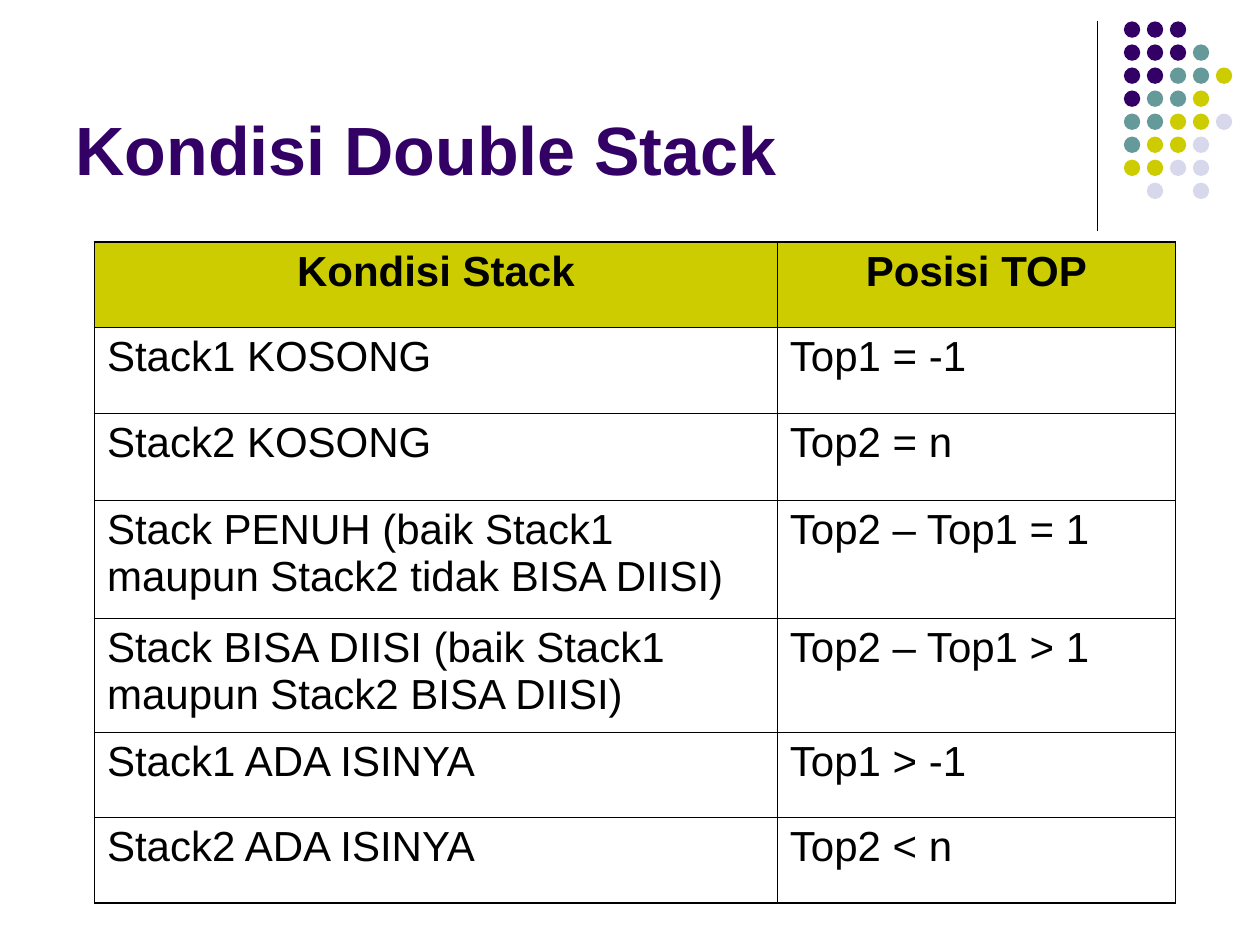
"""Build the "Kondisi Double Stack" slide with its condition table and dot ornament."""
import pptx
import pptx.dml.color
import pptx.enum.shapes
import pptx.enum.text
import pptx.oxml
import pptx.oxml.ns
import pptx.util

TITLE = "Kondisi Double Stack"
ROWS = [
    ("Kondisi Stack", "Posisi TOP"),
    ("Stack1 KOSONG", "Top1 = -1"),
    ("Stack2 KOSONG", "Top2 = n"),
    ("Stack PENUH (baik Stack1 maupun Stack2 tidak BISA DIISI)", "Top2 – Top1 = 1"),
    ("Stack BISA DIISI (baik Stack1 maupun Stack2 BISA DIISI)", "Top2 – Top1 > 1"),
    ("Stack1 ADA ISINYA", "Top1 > -1"),
    ("Stack2 ADA ISINYA", "Top2 < n"),
]
DOT_ROWS = ["PPP", "PPPT", "PPTTY", "PTTY", "TTYYL", "TYYL", "YYLL", " L L"]
THEME = {
    "font": "Arial", "title_size": 39, "table_size": 24,
    "title": "330066", "text": "000000", "header": "CCCC00",
    "outer": 1.08, "inner": 0.45, "rule": 0.75,
    "dots": {"P": "330066", "T": "669999", "Y": "CCCC00", "L": "D8D8EC"},
}
SLIDE_SIZE = (10, 7.5)
TITLE_BOX = (0.5, 0.13, 8.25, 1.42)
RULE = (8.71, 0.17, 8.71, 1.83)
DOT_ORIGIN, DOT_SIZE, DOT_PITCH = (8.92, 0.17), 0.13, (0.73 / 4, 1.28 / 7)
TABLE_ORIGIN = (0.75, 1.92)
COLUMN_WIDTHS = (5.42, 3.16)
ROW_HEIGHTS = (0.68, 0.68, 0.69, 0.94, 0.9, 0.68, 0.68)


def inches(values):
    return [pptx.util.Inches(value) for value in values]


def color(value):
    return pptx.dml.color.RGBColor.from_string(value)


def format_text(paragraph, size, ink, bold, alignment):
    paragraph.alignment = alignment
    settings = {"name": THEME["font"], "size": pptx.util.Pt(size), "bold": bold}
    for name, value in settings.items():
        setattr(paragraph.font, name, value)
    paragraph.font.color.rgb = color(ink)


def add_title(slide):
    title = slide.shapes.title
    for name, value in zip(("left", "top", "width", "height"), inches(TITLE_BOX)):
        setattr(title, name, value)
    frame = title.text_frame
    frame.text = TITLE
    frame.word_wrap = True
    frame.vertical_anchor = pptx.enum.text.MSO_ANCHOR.BOTTOM
    format_text(frame.paragraphs[0], THEME["title_size"], THEME["title"], True,
                pptx.enum.text.PP_ALIGN.LEFT)


def add_ornament(slide):
    rule = slide.shapes.add_connector(pptx.enum.shapes.MSO_CONNECTOR.STRAIGHT, *inches(RULE))
    rule.line.width = pptx.util.Pt(THEME["rule"])
    rule.line.color.rgb = color(THEME["text"])
    rule._element.spPr.append(pptx.oxml.parse_xml(
        f"<a:effectLst {pptx.oxml.ns.nsdecls('a')}/>"))
    group = slide.shapes.add_group_shape()
    for row, letters in enumerate(DOT_ROWS):
        for column, letter in enumerate(letters):
            if letter == " ":
                continue
            place = [start + step * pitch for start, step, pitch
                     in zip(DOT_ORIGIN, (column, row), DOT_PITCH)]
            dot = group.shapes.add_shape(pptx.enum.shapes.MSO_SHAPE.OVAL,
                                         *inches((*place, DOT_SIZE, DOT_SIZE)))
            dot.shadow.inherit = False
            dot.fill.solid()
            dot.fill.fore_color.rgb = color(THEME["dots"][letter])
            dot.line.fill.background()


def set_borders(cell, outer_sides):
    properties = cell._tc.get_or_add_tcPr()
    for index, (side, is_outer) in enumerate(outer_sides.items()):
        width = pptx.util.Pt(THEME["outer" if is_outer else "inner"])
        properties.insert(index, pptx.oxml.parse_xml(
            f'<a:ln{side} {pptx.oxml.ns.nsdecls("a")} w="{width}"><a:solidFill>'
            f'<a:srgbClr val="{THEME["text"]}"/></a:solidFill></a:ln{side}>'))


def add_condition_table(slide):
    size = (sum(COLUMN_WIDTHS), sum(ROW_HEIGHTS))
    table = slide.shapes.add_table(len(ROWS), len(COLUMN_WIDTHS),
                                   *inches(TABLE_ORIGIN + size)).table
    table.horz_banding = False
    for column, width in zip(table.columns, inches(COLUMN_WIDTHS)):
        column.width = width
    for row, height in zip(table.rows, inches(ROW_HEIGHTS)):
        row.height = height
    alignments = pptx.enum.text.PP_ALIGN
    for row, texts in enumerate(ROWS):
        is_header = row == 0
        for column, text in enumerate(texts):
            cell = table.cell(row, column)
            cell.text = text
            format_text(cell.text_frame.paragraphs[0], THEME["table_size"], THEME["text"],
                        is_header, alignments.CENTER if is_header else alignments.LEFT)
            if is_header:
                cell.fill.solid()
                cell.fill.fore_color.rgb = color(THEME["header"])
            else:
                cell.fill.background()
            set_borders(cell, {"L": column == 0, "R": column == len(texts) - 1,
                               "T": is_header, "B": row == len(ROWS) - 1})


def main():
    presentation = pptx.Presentation()
    presentation.slide_width, presentation.slide_height = inches(SLIDE_SIZE)
    slide = presentation.slides.add_slide(presentation.slide_layouts.get_by_name("Title Only"))
    add_ornament(slide)
    add_title(slide)
    add_condition_table(slide)
    presentation.save("out.pptx")


if __name__ == "__main__":
    main()
